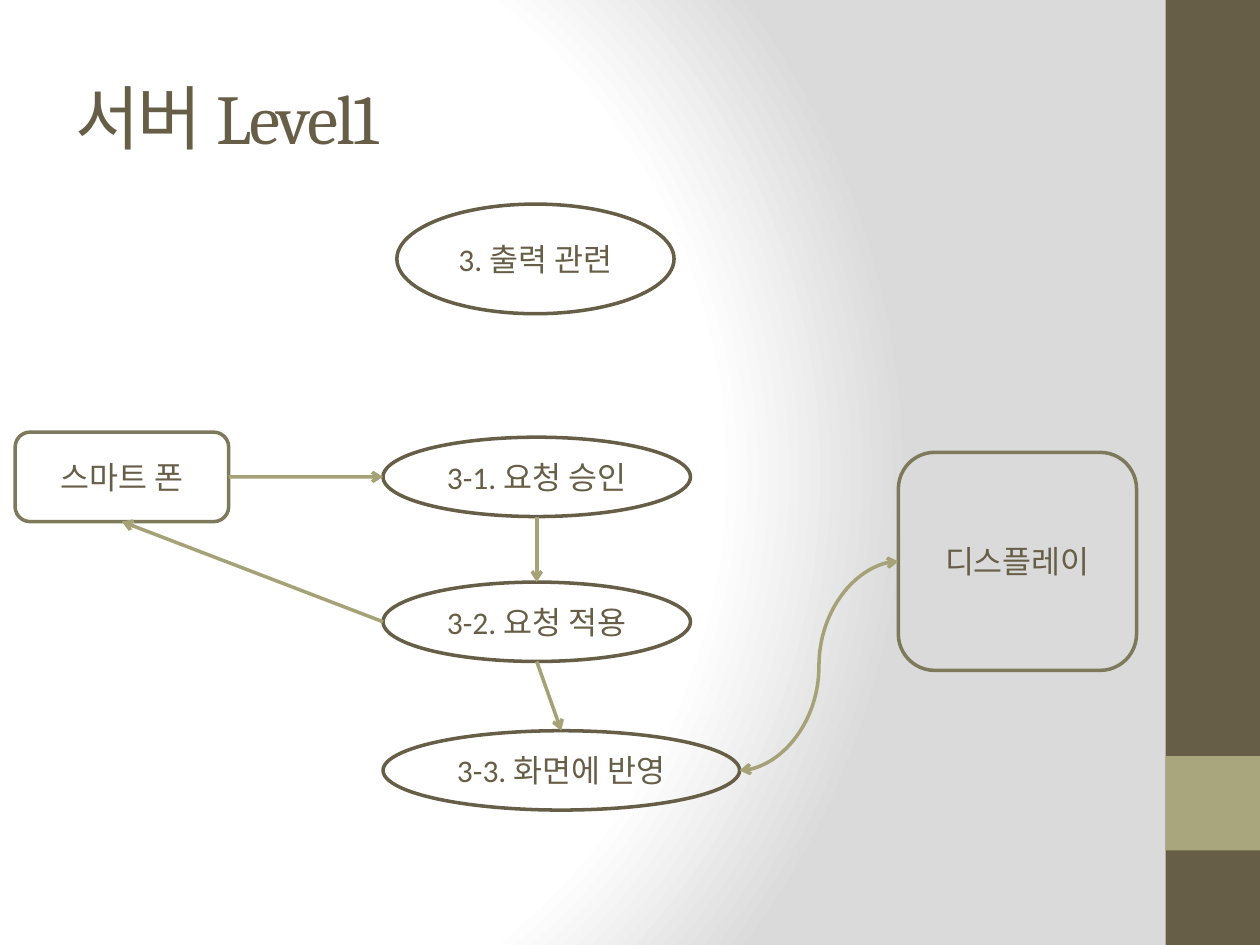
from dataclasses import dataclass
from enum import Enum

from lxml.etree import SubElement
from pptx import Presentation
from pptx.dml.color import RGBColor
from pptx.enum.shapes import MSO_CONNECTOR as Link, MSO_SHAPE as Preset
from pptx.enum.text import MSO_ANCHOR as Anchor, PP_ALIGN as Align
from pptx.oxml import parse_xml
from pptx.oxml.ns import nsdecls, qn
from pptx.util import Inches, Pt


@dataclass(frozen=True)
class Theme:
    dark: str = "675E47"
    accent: str = "A9A57C"
    frame: str = "7D7A5C"
    arrow: str = "A6A278"
    backdrop: tuple = ((0, "FFFFFF"), (75, "FFFFFF"), (100, "DADADA"))
    title_font: str = "Cambria"
    body_font: str = "Calibri"
    title_size: int = 40
    body_size: int = 18
    stroke: int = 2


@dataclass(frozen=True)
class Area:
    """A rectangle in percent of the slide's width and height."""
    left: float
    top: float
    width: float
    height: float

    def emu(self) -> tuple:
        return across(self.left), down(self.top), across(self.width), down(self.height)


class Side(Enum):
    """A point on an area's edge, as shares of its width and height."""
    TOP = (0.5, 0)
    LEFT = (0, 0.5)
    BOTTOM = (0.5, 1)
    RIGHT = (1, 0.5)


@dataclass(frozen=True)
class Node:
    text: str
    area: Area
    preset: Preset = Preset.OVAL
    color: str = Theme.dark


@dataclass(frozen=True)
class Flow:
    source: Node
    leaving: Side
    target: Node
    entering: Side
    kind: Link = Link.STRAIGHT
    both_ways: bool = False


THEME = Theme()
SLIDE_WIDTH, SLIDE_HEIGHT = Inches(10), Inches(7.5)


def across(percent: float) -> int:
    return round(SLIDE_WIDTH * percent / 100)


def down(percent: float) -> int:
    return round(SLIDE_HEIGHT * percent / 100)


def step(text: str, top: float, width: float = 24.4) -> Node:
    return Node(text, Area(30.4, top, width, 8.4))


def entity(text: str, area: Area) -> Node:
    return Node(text, area, Preset.ROUNDED_RECTANGLE, THEME.frame)


def paint_background(page) -> None:
    stops = "".join(
        f'<a:gs pos="{percent * 1000}"><a:srgbClr val="{color}"/></a:gs>'
        for percent, color in THEME.backdrop)
    gradient = parse_xml(
        f'<a:gradFill {nsdecls("a")} rotWithShape="1"><a:gsLst>{stops}</a:gsLst>'
        '<a:path path="circle"><a:fillToRect l="20000" t="50000" r="100000" b="50000"/>'
        '</a:path></a:gradFill>')
    page.background.fill.solid()
    properties = page.element.find(".//" + qn("p:bgPr"))
    properties.replace(properties[0], gradient)


def draw_band(page, area: Area, color: str) -> None:
    band = page.shapes.add_shape(Preset.RECTANGLE, *area.emu())
    band.shadow.inherit = False
    band.fill.solid()
    band.fill.fore_color.rgb = RGBColor.from_string(color)
    band.line.fill.background()


def write(box, text: str, font: str, size: int, align: Align):
    frame = box.text_frame
    frame.word_wrap = True
    frame.vertical_anchor = Anchor.MIDDLE
    para = frame.paragraphs[0]
    para.alignment = align
    span = para.add_run()
    span.text = text
    span.font.name = font
    span.font.size = Pt(size)
    span.font.color.rgb = RGBColor.from_string(THEME.dark)
    return span


def draw_title(page, text: str) -> None:
    box = page.shapes.add_textbox(*Area(5, 4, 83.3, 16.67).emu())
    span = write(box, text, THEME.title_font, THEME.title_size, Align.LEFT)
    span.font._element.set("spc", "-100")


def draw_node(page, node: Node) -> None:
    box = page.shapes.add_shape(node.preset, *node.area.emu())
    box.shadow.inherit = False
    box.fill.background()
    box.line.color.rgb = RGBColor.from_string(node.color)
    box.line.width = Pt(THEME.stroke)
    write(box, node.text, THEME.body_font, THEME.body_size, Align.CENTER)


def edge_point(area: Area, side: Side) -> tuple:
    share_x, share_y = side.value
    return (across(area.left + area.width * share_x),
            down(area.top + area.height * share_y))


def draw_flow(page, flow: Flow) -> None:
    link = page.shapes.add_connector(
        flow.kind,
        *edge_point(flow.source.area, flow.leaving),
        *edge_point(flow.target.area, flow.entering))
    link.line.color.rgb = RGBColor.from_string(THEME.arrow)
    link.line.width = Pt(THEME.stroke)
    properties = link._element.spPr
    outline = properties.find(qn("a:ln"))
    for end in ("a:headEnd", "a:tailEnd") if flow.both_ways else ("a:tailEnd",):
        SubElement(outline, qn(end), type="arrow")
    SubElement(properties, qn("a:effectLst"))


def main() -> None:
    deck = Presentation()
    deck.slide_width, deck.slide_height = SLIDE_WIDTH, SLIDE_HEIGHT
    page = deck.slides.add_slide(deck.slide_layouts[6])

    paint_background(page)
    draw_band(page, Area(92.5, 0, 7.5, 100), THEME.dark)
    draw_band(page, Area(92.5, 80, 7.5, 10), THEME.accent)
    draw_title(page, "서버 Level1")

    phone = entity("스마트 폰", Area(1.2, 45.73, 16.95, 9.47))
    display = entity("디스플레이", Area(71.3, 47.87, 18.9, 23.07))
    output = Node("3. 출력 관련", Area(31.5, 21.6, 22, 11.6))
    approve = step("3-1. 요청 승인", 46.27)
    apply = step("3-2. 요청 적용", 61.6)
    reflect = step("3-3. 화면에 반영", 77.33, width=28.3)

    for node in (phone, approve, apply, reflect, output, display):
        draw_node(page, node)
    for flow in (
        Flow(phone, Side.RIGHT, approve, Side.LEFT),
        Flow(reflect, Side.RIGHT, display, Side.LEFT, Link.CURVE, both_ways=True),
        Flow(approve, Side.BOTTOM, apply, Side.TOP),
        Flow(apply, Side.BOTTOM, reflect, Side.TOP),
        Flow(apply, Side.LEFT, phone, Side.BOTTOM),
    ):
        draw_flow(page, flow)

    deck.save("out.pptx")


if __name__ == "__main__":
    main()
